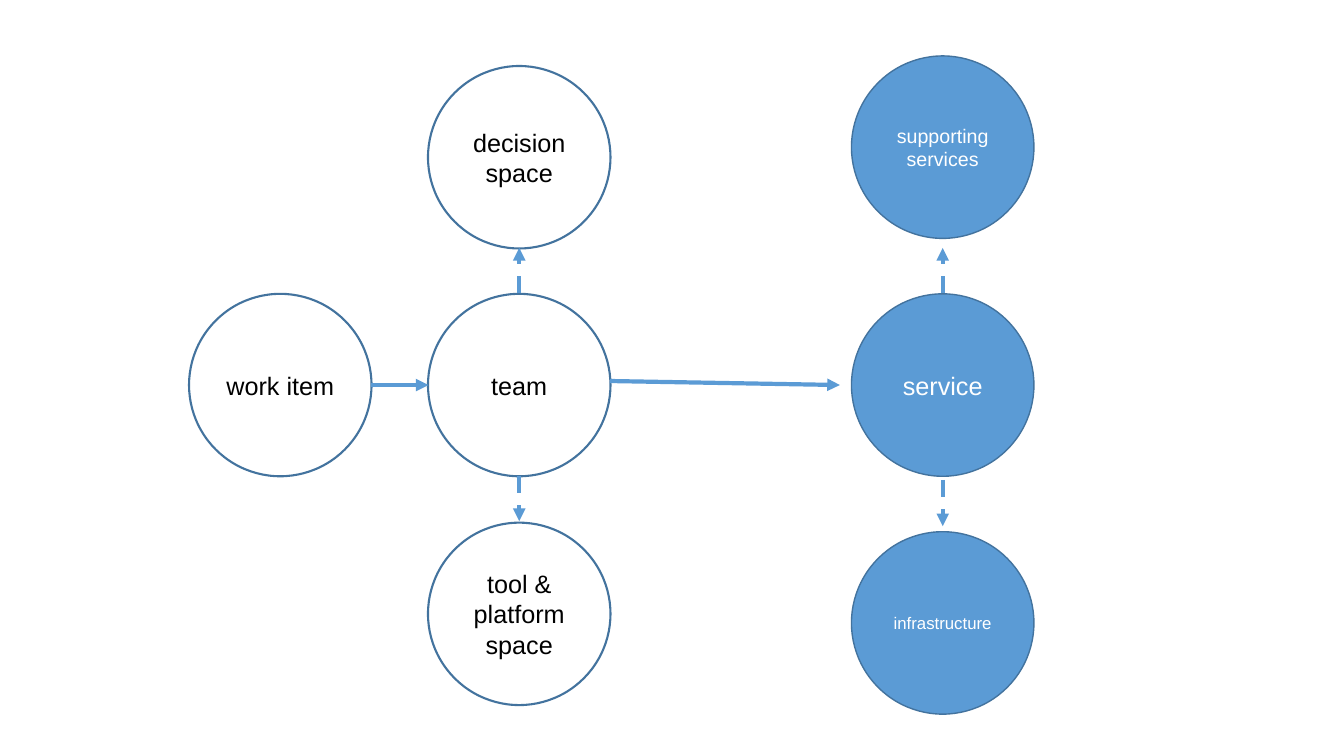
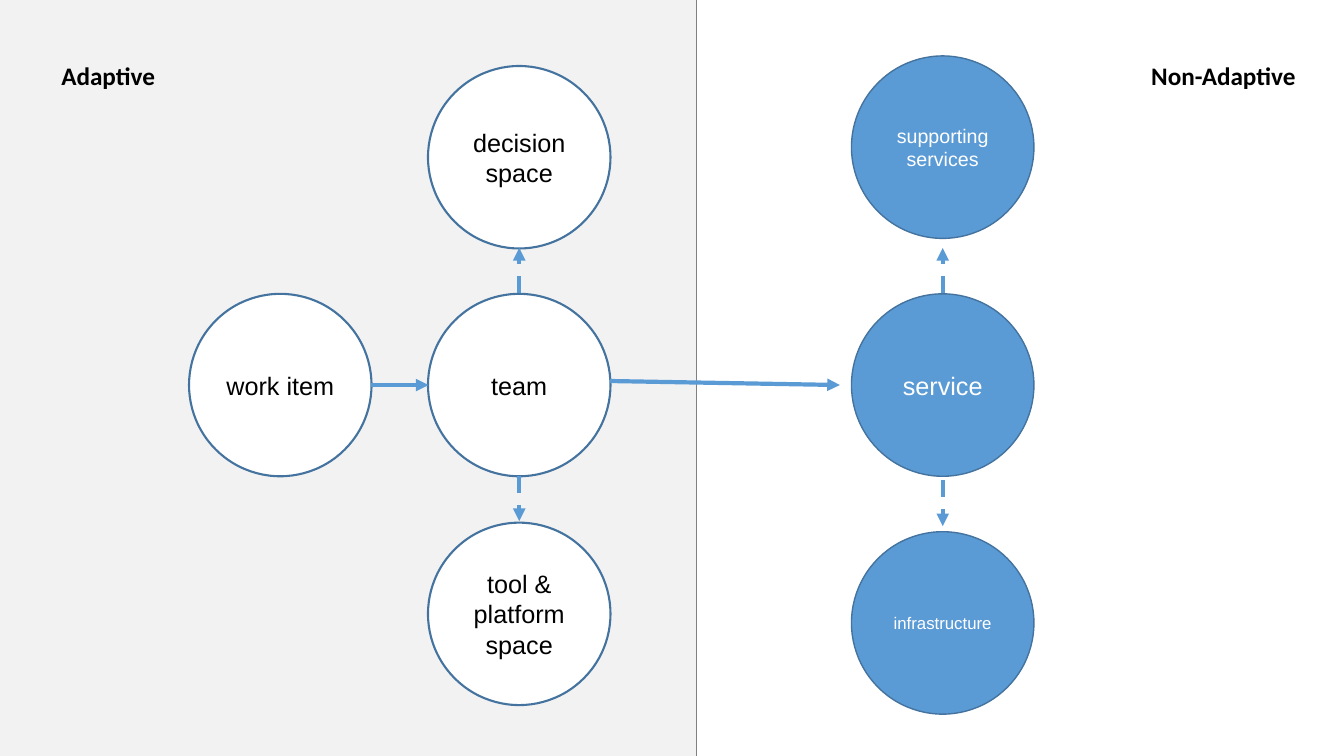
"""Build two slides that map a team, its services and the adaptive boundary."""
from lxml.etree import SubElement
from pptx import Presentation
from pptx.dml.color import RGBColor
from pptx.enum.dml import MSO_LINE
from pptx.enum.shapes import MSO_CONNECTOR, MSO_SHAPE
from pptx.enum.text import MSO_ANCHOR, PP_ALIGN
from pptx.oxml.ns import qn
from pptx.util import Inches, Pt

COLORS = {
    "blue": "5B9BD5",
    "outline": "43739E",
    "band": "F2F2F2",
    "divider": "808080",
    "white": "FFFFFF",
    "black": "000000",
}
STYLES = {
    "adaptive": {"fill": "white", "text": "black", "line": 1.5},
    "fixed": {"fill": "blue", "text": "white", "line": 1},
}
WIDTH, HEIGHT = 13.33, 7.5
DIAMETER = 1.81
WORK_X, TEAM_X, SERVICE_X = 2.78, 5.15, 9.35
MIDDLE_Y = 3.82
BAND_WIDTH = 6.91

CIRCLES = [
    ("service", SERVICE_X, MIDDLE_Y, "fixed", 18),
    ("team", TEAM_X, MIDDLE_Y, "adaptive", 18),
    ("tool & platform space", TEAM_X, 6.09, "adaptive", 18),
    ("decision space", TEAM_X, 1.56, "adaptive", 18),
    ("supporting services", SERVICE_X, 1.46, "fixed", 14),
    ("work item", WORK_X, MIDDLE_Y, "adaptive", 18),
    ("infrastructure", SERVICE_X, 6.18, "fixed", 12),
]
ARROWS = [
    ((3.68, MIDDLE_Y), (4.25, MIDDLE_Y), False),
    ((TEAM_X, 2.91), (TEAM_X, 2.46), True),
    ((TEAM_X, 4.72), (TEAM_X, 5.17), True),
    ((6.05, 3.78), (8.33, MIDDLE_Y), False),
    ((SERVICE_X, 2.91), (SERVICE_X, 2.46), True),
    ((SERVICE_X, 4.76), (SERVICE_X, 5.22), True),
]
LABELS = [("Adaptive", 0.51), ("Non-Adaptive", 11.32)]


def color(name):
    """Return the named colour."""
    return RGBColor.from_string(COLORS[name])


def add_span(para, text, font, size, ink, bold=False):
    """Add one formatted run to a paragraph."""
    span = para.add_run()
    span.text = text
    span.font.name = font
    span.font.size = Pt(size)
    span.font.bold = bold
    span.font.color.rgb = color(ink)


def add_filled(page, kind, left, top, width, height, fill):
    """Add a shape with a plain fill and no shadow."""
    shape = page.shapes.add_shape(
        kind, Inches(left), Inches(top), Inches(width), Inches(height))
    shape.shadow.inherit = False
    shape.fill.solid()
    shape.fill.fore_color.rgb = color(fill)
    return shape


def add_line(page, start, end, ink, width):
    """Add a straight line without a shadow."""
    line = page.shapes.add_connector(
        MSO_CONNECTOR.STRAIGHT, *(Inches(value) for value in start + end))
    line.line.color.rgb = color(ink)
    line.line.width = Pt(width)
    SubElement(line._element.spPr, qn("a:effectLst"))
    return line


def add_arrow(page, start, end, dashed):
    """Add a blue arrow, dashed if asked."""
    arrow = add_line(page, start, end, "blue", 3)
    if dashed:
        arrow.line.dash_style = MSO_LINE.DASH
    SubElement(arrow.line._get_or_add_ln(), qn("a:tailEnd"), type="triangle")


def add_circle(page, text, center_x, center_y, style_name, size):
    """Add a labelled circle around its centre."""
    style = STYLES[style_name]
    radius = DIAMETER / 2
    circle = add_filled(page, MSO_SHAPE.OVAL, center_x - radius,
                        center_y - radius, DIAMETER, DIAMETER, style["fill"])
    circle.line.color.rgb = color("outline")
    circle.line.width = Pt(style["line"])
    frame = circle.text_frame
    frame.word_wrap = True
    frame.vertical_anchor = MSO_ANCHOR.MIDDLE
    para = frame.paragraphs[0]
    para.alignment = PP_ALIGN.CENTER
    add_span(para, text, "Arial", size, style["text"])


def add_diagram(page):
    """Draw the circles and arrows that both slides share."""
    for circle in CIRCLES:
        add_circle(page, *circle)
    for arrow in ARROWS:
        add_arrow(page, *arrow)


def add_band(page):
    """Shade the adaptive side and mark its boundary."""
    band = add_filled(page, MSO_SHAPE.RECTANGLE, 0, 0, BAND_WIDTH, HEIGHT, "band")
    band.line.fill.background()
    add_line(page, (BAND_WIDTH, 0), (BAND_WIDTH, HEIGHT), "divider", 1)


def add_labels(page):
    """Name the two sides of the boundary."""
    for text, left in LABELS:
        box = page.shapes.add_textbox(
            Inches(left), Inches(0.55), Inches(2), Inches(0.4))
        box.text_frame.word_wrap = True
        add_span(box.text_frame.paragraphs[0], text, "Calibri", 18, "black", True)


def main():
    """Build and save the deck."""
    deck = Presentation()
    deck.slide_width, deck.slide_height = Inches(WIDTH), Inches(HEIGHT)
    blank = deck.slide_layouts[6]

    add_diagram(deck.slides.add_slide(blank))

    page = deck.slides.add_slide(blank)
    add_band(page)
    add_diagram(page)
    add_labels(page)

    deck.save("out.pptx")


if __name__ == "__main__":
    main()
